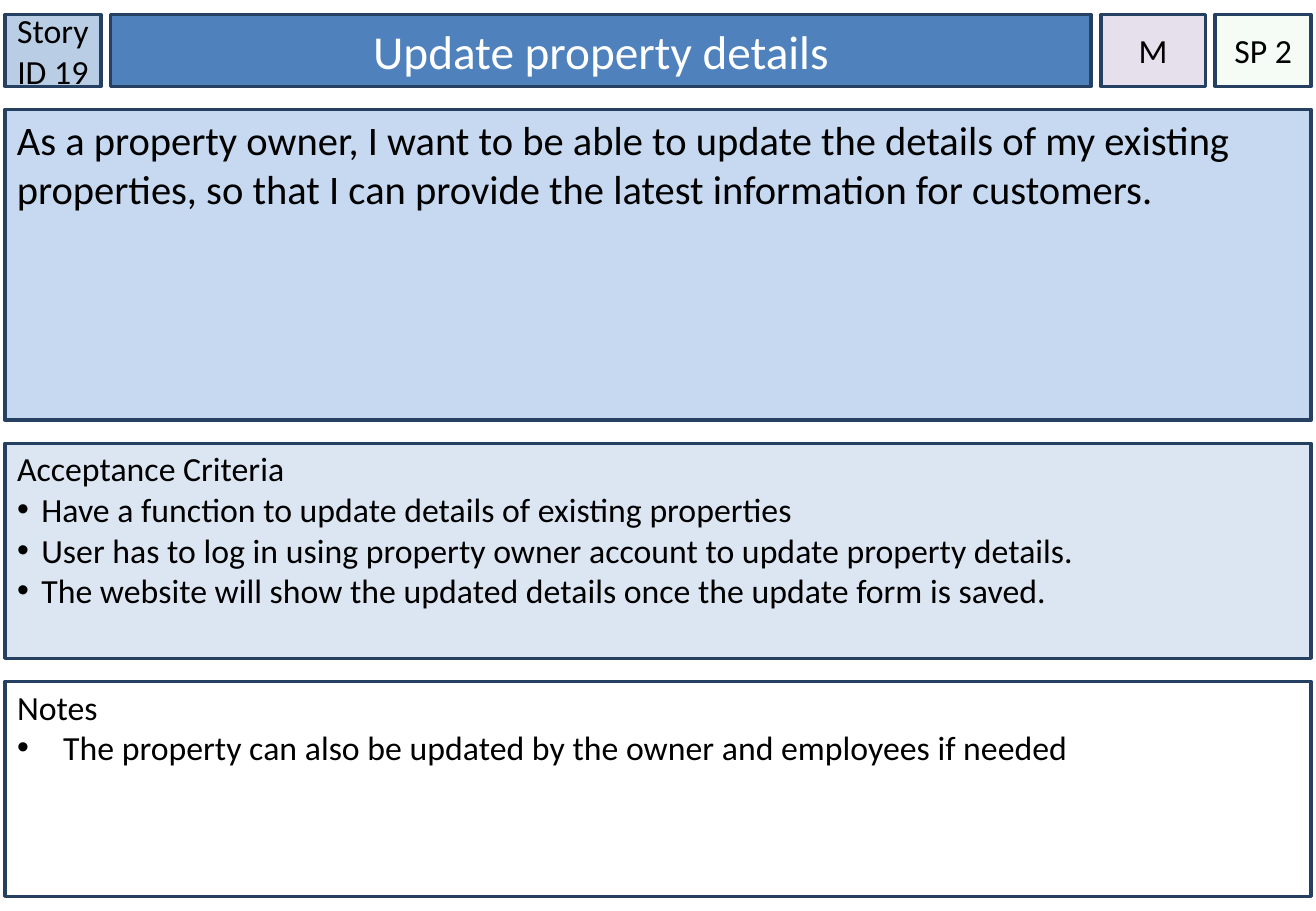
from lxml import etree
from pptx import Presentation
from pptx.dml.color import RGBColor
from pptx.enum.shapes import MSO_SHAPE
from pptx.enum.text import MSO_ANCHOR, MSO_AUTO_SIZE, PP_ALIGN
from pptx.oxml.ns import qn
from pptx.util import Inches, Pt

RECTANGLE = MSO_SHAPE.RECTANGLE
MIDDLE, TOP = MSO_ANCHOR.MIDDLE, MSO_ANCHOR.TOP
CENTER, LEFT = PP_ALIGN.CENTER, PP_ALIGN.LEFT
NO_AUTOFIT = MSO_AUTO_SIZE.NONE

NAVY = RGBColor(0x25, 0x40, 0x61)
BLUE = RGBColor(0x4F, 0x81, 0xBD)
STEEL = RGBColor(0xB9, 0xCD, 0xE5)
SKY = RGBColor(0xC6, 0xD9, 0xF1)
PALE_BLUE = RGBColor(0xDC, 0xE6, 0xF2)
LILAC = RGBColor(0xE6, 0xE0, 0xEC)
GREEN = RGBColor(0xCC, 0xF0, 0xCD)
WHITE = RGBColor(0xFF, 0xFF, 0xFF)
BLACK = RGBColor(0x00, 0x00, 0x00)
FONT = "Calibri"

# Header cells: text, width, fill
STORY_ID = ("Story ID 19", 0.79, STEEL)
TITLE = ("Update property details", 8.07, BLUE)
PRIORITY = ("M", 0.86, LILAC)
POINTS = ("SP 2", 0.79, GREEN)
HEADER = [STORY_ID, TITLE, PRIORITY, POINTS]

STORY = ("As a property owner, I want to be able to update the details of my "
         "existing properties, so that I can provide the latest information "
         "for customers.")
CRITERIA = [
    "Have a function to update details of existing properties",
    "User has to log in using property owner account to update property details.",
    "The website will show the updated details once the update form is saved.",
]
NOTES = ["The property can also be updated by the owner and employees if needed"]

# Panels: heading, bullets, bullet indent, height, fill, text size
PANELS = [
    (STORY, [], 0, 2.56, SKY, 24),
    ("Acceptance Criteria", CRITERIA, 0.2, 1.77, PALE_BLUE, 20),
    ("Notes", NOTES, 0.38, 1.77, WHITE, 20),
]

SLIDE_W, SLIDE_H = 10.83, 7.5
MARGIN, HEADER_TOP, HEADER_H = 0.04, 0.12, 0.59
COLUMN_GAP, ROW_GAP = 0.08, 0.19


def style_box(box, area, fill, anchor, side_inset, top_inset=0.05):
    """Place a box and give it the card's outline, fill and text margins."""
    box.left, box.top, box.width, box.height = map(Inches, area)
    box.fill.solid()
    box.fill.fore_color.rgb = fill
    box.line.color.rgb = NAVY
    box.line.width = Pt(2)
    frame = box.text_frame
    frame.auto_size = NO_AUTOFIT
    frame.word_wrap = True
    frame.vertical_anchor = anchor
    frame.margin_left = frame.margin_right = Inches(side_inset)
    frame.margin_top, frame.margin_bottom = Inches(top_inset), Inches(0.05)


def write(paragraph, text, size, color=BLACK, align=LEFT, indent=None):
    """Write one paragraph, bulleted when an indent is given."""
    paragraph.text = text
    paragraph.alignment = align
    paragraph.space_before = Pt(0)
    paragraph.font.name = FONT
    paragraph.font.size = Pt(size)
    paragraph.font.color.rgb = color
    properties = paragraph._p.get_or_add_pPr()
    hang = Inches(indent or 0)
    properties.set("marL", str(hang))
    properties.set("indent", str(-hang))
    bullet = "a:buChar" if indent else "a:buNone"
    mark = etree.Element(qn(bullet))
    if indent:
        bullet_font = etree.Element(qn("a:buFont"), typeface="Arial")
        properties.insert_element_before(bullet_font, "a:tabLst", "a:defRPr", "a:extLst")
        mark.set("char", "•")
    properties.insert_element_before(mark, "a:tabLst", "a:defRPr", "a:extLst")


def add_box(slide):
    """Add a rectangle without a shadow."""
    box = slide.shapes.add_shape(RECTANGLE, 0, 0, 0, 0)
    box.shadow.inherit = False
    return box


def add_header(slide):
    """Lay the header cells out from left to right."""
    left = MARGIN
    for cell in HEADER:
        text, width, fill = cell
        is_title = cell is TITLE
        box = slide.shapes.title if is_title else add_box(slide)
        style_box(box, (left, HEADER_TOP, width, HEADER_H), fill, MIDDLE,
                  0.1 if is_title else 0)
        write(box.text_frame.paragraphs[0], text, 28 if is_title else 20,
              WHITE if is_title else BLACK, CENTER)
        if cell is POINTS:
            color = box.fill._xPr.find(qn("a:solidFill"))[0]
            etree.SubElement(color, qn("a:alpha"), val="20000")
        left += width + COLUMN_GAP


def add_panels(slide):
    """Stack the full-width panels below the header."""
    bodies = iter([slide.placeholders[1], slide.placeholders[2]])
    top = HEADER_TOP + HEADER_H + ROW_GAP
    for heading, bullets, indent, height, fill, size in PANELS:
        box = next(bodies) if bullets else add_box(slide)
        style_box(box, (MARGIN, top, SLIDE_W - 2 * MARGIN, height), fill, TOP,
                  0.1, 0.04 if bullets else 0.05)
        frame = box.text_frame
        write(frame.paragraphs[0], heading, size)
        for bullet in bullets:
            write(frame.add_paragraph(), bullet, size, indent=indent)
        top += height + ROW_GAP


deck = Presentation()
deck.slide_width, deck.slide_height = Inches(SLIDE_W), Inches(SLIDE_H)
two_content = deck.slide_layouts[3]
card = deck.slides.add_slide(two_content)
add_header(card)
add_panels(card)
deck.save("out.pptx")
